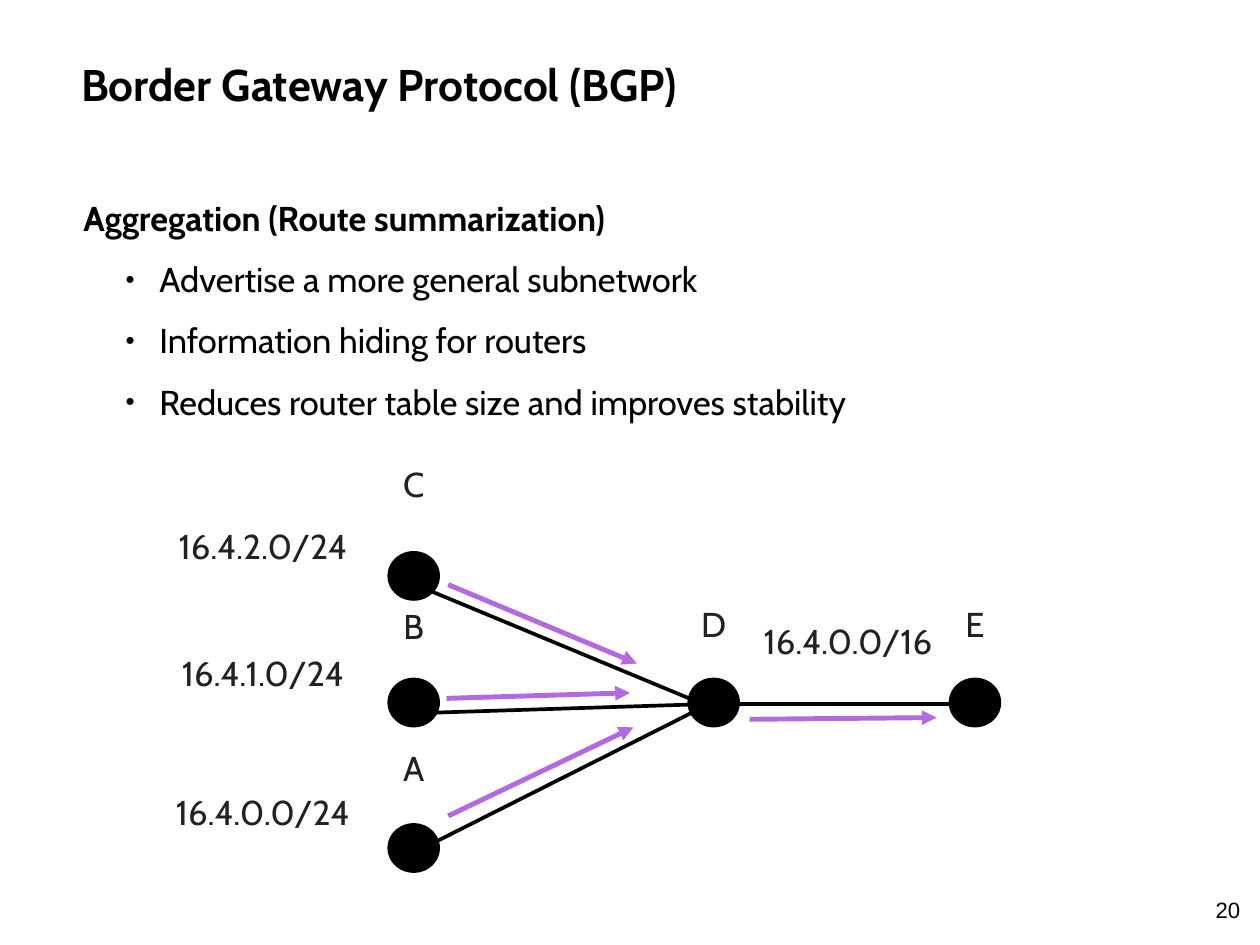
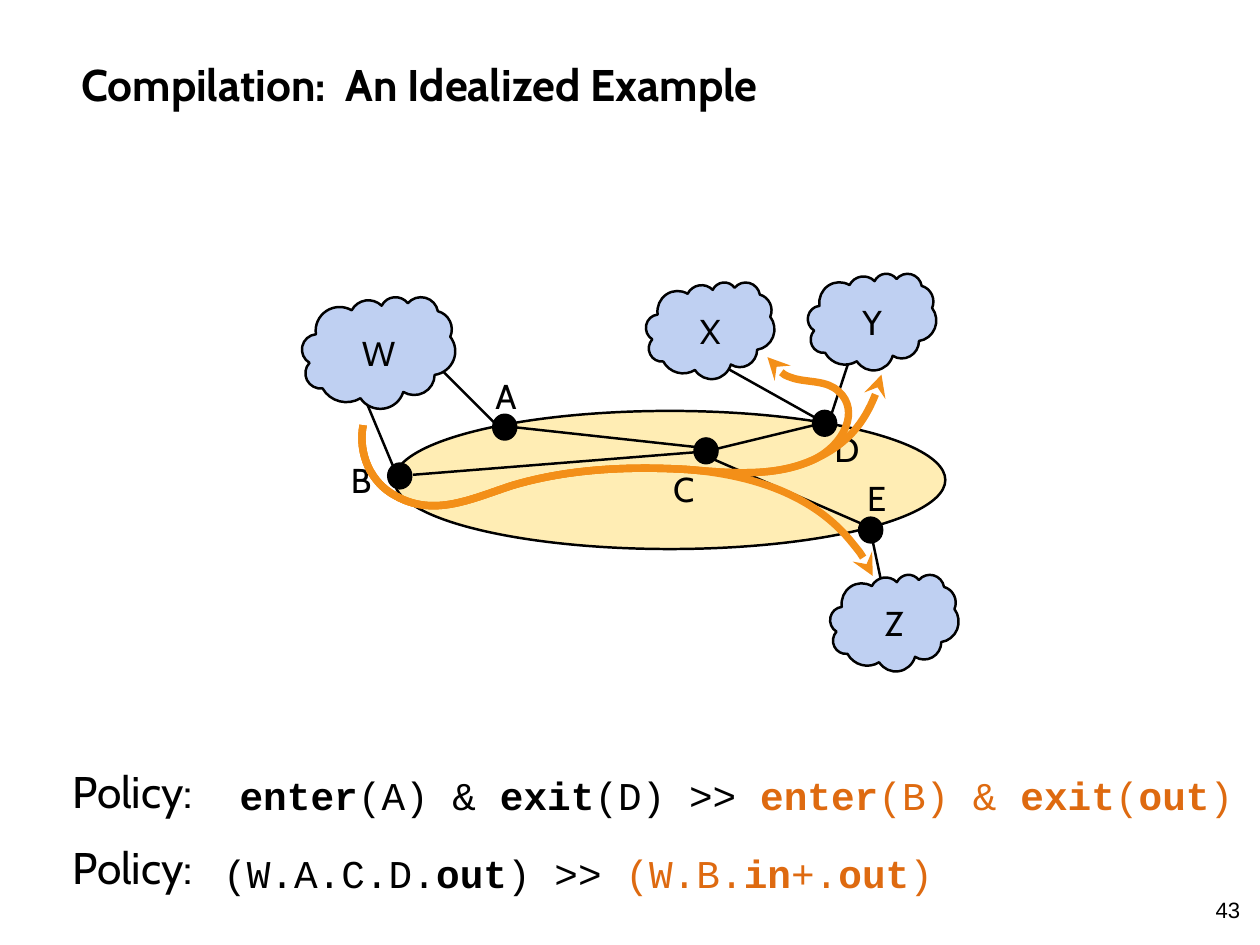
from dataclasses import dataclass
from itertools import chain
from math import atan2, ceil, cos, pi, radians, sin, tan

from lxml import etree
from pptx import Presentation
from pptx.dml.color import RGBColor
from pptx.enum.shapes import MSO_CONNECTOR, MSO_SHAPE
from pptx.enum.text import MSO_ANCHOR, PP_ALIGN
from pptx.oxml.ns import qn
from pptx.util import Cm, Pt

LEFT, CENTER = PP_ALIGN.LEFT, PP_ALIGN.CENTER
TOP, MIDDLE = MSO_ANCHOR.TOP, MSO_ANCHOR.MIDDLE
OVAL, STRAIGHT = MSO_SHAPE.OVAL, MSO_CONNECTOR.STRAIGHT


@dataclass(frozen=True)
class Theme:
    black: str = "000000"
    gray: str = "212121"
    purple: str = "B36AE1"
    orange: str = "F38F18"
    rust: str = "DE6A10"
    cream: str = "FFEDB4"
    blue: str = "BFD0F2"
    body: str = "Cabin"
    plain: str = "Arial"
    code: str = "Courier New"
    head: int = 36
    mono: int = 32
    text: int = 28
    foot: int = 18
    tight: float = 0.1


T = Theme()

# Lengths are in centimetres.
SIZE = (36.12, 27.09)
TITLE = (2.18, 0.71, 31.75, 3.39)
NUMBER = (34.5, 25.55, 1.4, 1.02)
INSET = 0.15

# Slide with route aggregation
LEAD = "Aggregation (Route summarization)"
POINTS = [
    "Advertise a more general subnetwork",
    "Information hiding for routers",
    "Reduces router table size and improves stability",
]
BODY = (2.24, 5.51, 31.75, 7.11)
DOT, TAG, NET = (1.4, 1.32), (1.5, 1.75), (5.8, 1.75)
# name: centre x, centre y, top of its label
NODES = {
    "C": (11.86, 16.51, 14.1),
    "B": (11.86, 20.14, 18.18),
    "A": (11.86, 24.31, 22.25),
    "D": (20.46, 20.14, 18.11),
    "E": (27.95, 20.14, 18.11),
}
# text, centre x, top
NETS = [
    ("16.4.2.0/24", 7.54, 15.89),
    ("16.4.1.0/24", 7.54, 19.53),
    ("16.4.0.0/24", 7.54, 23.51),
    ("16.4.0.0/16", 24.31, 18.6),
]
LINKS = [
    (12.29, 16.92, 20.24, 20.22),
    (11.79, 20.45, 20.04, 20.19),
    (11.38, 24.69, 20.45, 20.12),
    (21.08, 20.18, 27.84, 20.18),
]
ROUTES = [
    (12.85, 16.76, 18.26, 19.02),
    (12.8, 20.02, 18.06, 19.86),
    (12.85, 23.39, 18.16, 20.85),
    (21.49, 20.62, 26.85, 20.57),
]

# Slide with the compiled policy
UPLINKS = [
    (23.72, 12.17, 20.22, 10.21),
    (23.77, 12.07, 24.66, 9.37),
    (25.6, 18.26, 24.97, 15.29),
    (11.68, 14.35, 9.4, 8.89),
    (14.45, 12.4, 11.05, 8.99),
]
CORE = (11.3, 11.78, 15.8, 3.96)
HUB, NAME = (0.66, 0.71), (2, 2.2)
# name: left and top of the router, left and top of its label
HUBS = {
    "A": (14.14, 11.89, 14.05, 10.6),
    "B": (11.13, 13.29, 9.91, 13.01),
    "C": (19.91, 12.57, 19.15, 13.28),
    "D": (23.31, 11.78, 23.77, 12.12),
    "E": (24.63, 14.84, 24.71, 13.53),
}
TRUNKS = [
    (20.14, 13.03, 24.99, 15.14),
    (11.84, 13.61, 20.37, 12.93),
    (14.5, 12.22, 20.09, 12.83),
    (19.99, 13, 23.95, 12.04),
]
CLOUDS = {
    "Z": (23.8, 16.47, 3.68, 2.77),
    "Y": (23.16, 7.84, 3.68, 2.77),
    "X": (18.52, 8.09, 3.68, 2.77),
    "W": (8.66, 8.51, 4.39, 3.2),
}
# Cloud outline on a square grid: radii, start angle and sweep of each puff
GRID = 43200
START = (3900, 14370)
PUFFS = [
    (6753, 9190, -190.49, 123.78),
    (5333, 7267, -144.1, 89.95),
    (4365, 5945, -145.81, 99.72),
    (4857, 6595, -130.99, 117.24),
    (5333, 7273, -78.71, 109.03),
    (6775, 9220, -46.27, 130.27),
    (5785, 7867, 0.63, 114.03),
    (6752, 9215, 22.45, 115.17),
    (7720, 10543, 66.24, 75.71),
    (4360, 5918, -274.94, 146.74),
    (4345, 5945, -246.83, 152.52),
]
# Flows start together; each cubic has two controls and an end
SOURCE = (10.41, 12.19)
STEM = [
    (10.26, 13, 10.62, 13.84, 11.35, 14.22),
    (12.45, 14.83, 13.51, 14.3, 14.68, 13.92),
    (16.28, 13.44, 18.03, 13.36, 19.71, 13.46),
]
BEND = [(20.93, 13.56, 22.2, 13.69, 23.32, 13.18)]
# area, cubics
FLOWS = [
    ((10.41, 12.19, 14.63, 4.32),
     STEM + [(21.54, 13.61, 23.34, 14.17, 24.46, 15.6),
             (24.69, 15.88, 24.89, 16.18, 25.02, 16.51)]),
    ((10.36, 10.74, 14.91, 3.76),
     STEM + BEND + [(24.31, 12.73, 25.04, 11.81, 25.27, 10.74)]),
    ((10.36, 10.24, 13.97, 4.29),
     STEM + BEND + [(24.23, 12.73, 24.64, 11.76, 24.05, 11.23),
                    (23.72, 10.9, 23.19, 10.97, 22.76, 10.85),
                    (22.43, 10.74, 22.15, 10.52, 22, 10.24)]),
]
# label top, code left and top, black runs, rust runs; starred runs are bold
POLICIES = [
    (21.77, 6.72, 21.95, ["*enter", "(A) & ", "*exit", "(D) >> "],
     ["*enter", "(B) & ", "*exit", "(", "*out", ")"]),
    (23.95, 6.25, 24.18, ["(W.A.C.D.", "*out", ") >> "],
     ["(W.B.", "*in", "+.", "*out", ")"]),
]


def rgb(color):
    return RGBColor.from_string(color)


def style(para, size, color=T.black, face=T.body, bold=False):
    font = para.font
    font.name, font.size, font.bold = face, Pt(size), bold
    font.color.rgb = rgb(color)


def frame(shape, anchor=TOP):
    tf = shape.text_frame
    tf.word_wrap, tf.vertical_anchor = True, anchor
    tf.margin_left = tf.margin_right = Cm(INSET)
    tf.margin_top = tf.margin_bottom = Cm(INSET)
    return tf


def box(slide, area, text="", size=T.text, align=LEFT, anchor=TOP, **look):
    tf = frame(slide.shapes.add_textbox(*map(Cm, area)), anchor)
    para = tf.paragraphs[0]
    para.text, para.alignment = text, align
    style(para, size, **look)
    return tf


def paint(shape, fill, width):
    shape.shadow.inherit = False
    shape.fill.solid()
    shape.fill.fore_color.rgb = rgb(fill)
    shape.line.color.rgb = rgb(T.black)
    shape.line.width = Pt(width)


def oval(slide, area, fill, width):
    paint(slide.shapes.add_shape(OVAL, *map(Cm, area)), fill, width)


def tip(shape, kind):
    line = shape.element.spPr.find(qn("a:ln"))
    etree.SubElement(line, qn("a:tailEnd"), type=kind)


def wires(slide, ends, width, color=T.black, head=None):
    for pair in ends:
        wire = slide.shapes.add_connector(STRAIGHT, *map(Cm, pair))
        wire.line.color.rgb, wire.line.width = rgb(color), Pt(width)
        if head:
            tip(wire, head)
        etree.SubElement(wire.element.spPr, qn("a:effectLst"))


def curve(slide, area, start, cubics, close):
    """Freeform of cubic curves that fills the given area."""
    dots = [(Cm(c[i]), Cm(c[i + 1])) for c in cubics for i in (0, 2, 4)]
    form = slide.shapes.build_freeform(*map(Cm, start))
    form.add_line_segments(dots, close=close)
    shape = form.convert_to_shape()
    left, top, wide, high = map(Cm, area)
    track = next(shape.element.spPr.iter(qn("a:path")))
    for dot in track.iter(qn("a:pt")):
        dot.set("x", str(int(dot.get("x")) + shape.left - left))
        dot.set("y", str(int(dot.get("y")) + shape.top - top))
    track.set("w", str(wide))
    track.set("h", str(high))
    shape.left, shape.top, shape.width, shape.height = left, top, wide, high
    legs = track.findall(qn("a:lnTo"))
    for trio in zip(legs[::3], legs[1::3], legs[2::3]):
        bend = etree.Element(qn("a:cubicBezTo"))
        track.replace(trio[0], bend)
        for leg in trio:
            bend.append(leg[0])
        for leg in trio[1:]:
            track.remove(leg)
    return shape


def puffs():
    """Cubics of the cloud on its grid."""
    def turn(angle, rx, ry):
        return atan2(rx * sin(angle), ry * cos(angle))

    x, y = START
    cubics = []
    for rx, ry, first, sweep in PUFFS:
        a = turn(radians(first), rx, ry)
        span = (turn(radians(first + sweep), rx, ry) - a) % (2 * pi)
        cx, cy = x - rx * cos(a), y - ry * sin(a)
        count = ceil(span / (pi / 2))
        step = span / count
        k = 4 / 3 * tan(step / 4)
        for _ in range(count):
            b = a + step
            x, y = cx + rx * cos(b), cy + ry * sin(b)
            cubics.append((cx + rx * (cos(a) - k * sin(a)),
                           cy + ry * (sin(a) + k * cos(a)),
                           x + rx * k * sin(b), y - ry * k * cos(b), x, y))
            a = b
    return cubics


def page(deck, title, number):
    slide = deck.slides.add_slide(deck.slide_layouts[6])
    box(slide, TITLE, title, T.head, anchor=MIDDLE, bold=True)
    box(slide, NUMBER, number, T.foot, CENTER, face=T.plain)
    return slide


def bullet(para):
    props = para._p.get_or_add_pPr()
    props.set("marL", str(Cm(2.18)))
    props.set("indent", str(Cm(-0.97)))
    etree.SubElement(props, qn("a:buSzPct"), val="75000")
    etree.SubElement(props, qn("a:buFont"), typeface=T.plain)
    etree.SubElement(props, qn("a:buChar"), char="•")


def routing(deck):
    slide = page(deck, "Border Gateway Protocol (BGP)", "20")
    tf = box(slide, BODY, LEAD, bold=True)
    for point in POINTS:
        para = tf.add_paragraph()
        para.text, para.space_before = point, Pt(16)
        bullet(para)
        style(para, T.text)
    for x, y, _ in NODES.values():
        w, h = DOT
        oval(slide, (x - w / 2, y - h / 2, w, h), T.black, 3)
    tags = [(name, x, top, TAG) for name, (x, _, top) in NODES.items()]
    for text, x, top, (w, h) in tags + [(*net, NET) for net in NETS]:
        tf = box(slide, (x - w / 2, top, w, h), text, align=CENTER,
                 color=T.gray)
        tf.paragraphs[0].line_spacing = T.tight
    wires(slide, LINKS, 3)
    wires(slide, ROUTES, 4, T.purple, "triangle")


def compiling(deck):
    slide = page(deck, "Compilation:  An Idealized Example", "43")
    wires(slide, UPLINKS, 2)
    oval(slide, CORE, T.cream, 2)
    for name, (x, y, left, top) in HUBS.items():
        box(slide, (left, top, *NAME), name)
        oval(slide, (x, y, *HUB), T.black, 2)
    wires(slide, TRUNKS, 2)
    for name, area in CLOUDS.items():
        start, *cubics = [
            [area[i % 2] + area[i % 2 + 2] * v / GRID for i, v in enumerate(c)]
            for c in (START, *puffs())]
        cloud = curve(slide, area, start, cubics, True)
        paint(cloud, T.blue, 2)
        para = frame(cloud, MIDDLE).paragraphs[0]
        para.text, para.alignment = name, CENTER
        style(para, T.text)
    for area, cubics in FLOWS:
        flow = curve(slide, area, SOURCE, cubics, False)
        flow.shadow.inherit = False
        flow.fill.background()
        flow.line.color.rgb, flow.line.width = rgb(T.orange), Pt(6)
        tip(flow, "stealth")
    for top, left, base, old, new in POLICIES:
        box(slide, (1.65, top, 4.31, 2.03), "Policy:", T.head, CENTER)
        tf = box(slide, (left, base, 28.8, 1.55), size=T.mono, face=T.code)
        for text, color in chain(((t, T.black) for t in old),
                                 ((t, T.rust) for t in new)):
            run = tf.paragraphs[0].add_run()
            run.text = text.lstrip("*")
            run.font.bold = text.startswith("*")
            run.font.color.rgb = rgb(color)


def main():
    deck = Presentation()
    deck.slide_width, deck.slide_height = map(Cm, SIZE)
    routing(deck)
    compiling(deck)
    deck.save("out.pptx")


if __name__ == "__main__":
    main()
